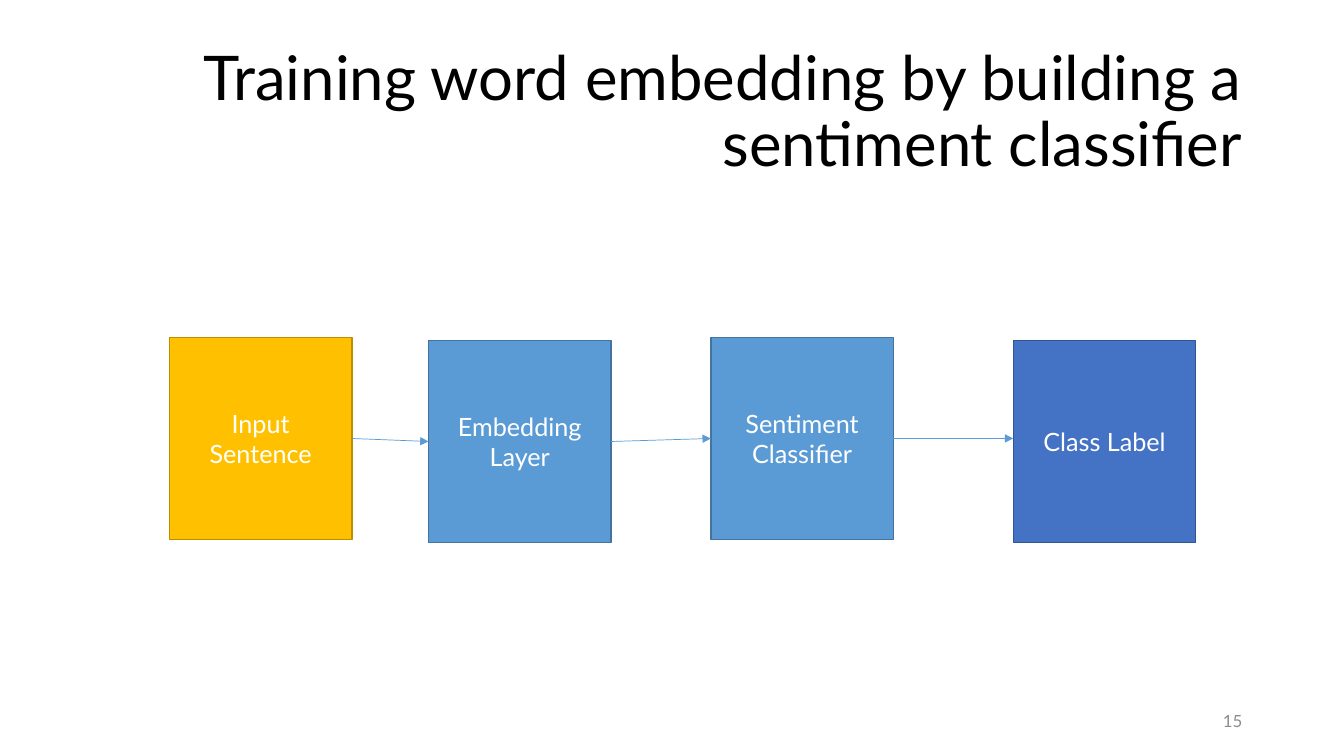
import pptx
import pptx.util
import pptx.dml.color
import pptx.enum.shapes
import pptx.enum.text
import pptx.oxml
import pptx.oxml.ns
from dataclasses import dataclass
from pptx.util import Inches


@dataclass(frozen=True)
class Theme:
    font: str = "Lato"
    title_size: int = 44
    label_size: int = 18
    number_size: int = 12
    text: str = "000000"
    muted: str = "8C8C8C"
    on_fill: str = "FFFFFF"
    amber: tuple = ("FFC000", "BD8E00")
    blue: tuple = ("5B9BD5", "43739E")
    indigo: tuple = ("4472C4", "325491")
    arrow: str = "5B9BD5"


THEME = Theme()
ALIGN = pptx.enum.text.PP_ALIGN
RIGHT_SITE, LEFT_SITE = 3, 1

# Stage label, colours, left and top offsets inside the flow
STAGES = [
    ("Input Sentence", THEME.amber, 0, 0),
    ("Embedding Layer", THEME.blue, 2.57, 0.03),
    ("Sentiment Classifier", THEME.blue, 5.37, 0),
    ("Class Label", THEME.indigo, 8.37, 0.03),
]
STAGE_WIDTH, STAGE_HEIGHT = 1.81, 2


def color(code):
    return pptx.dml.color.RGBColor.from_string(code)


def write(shape, text, size, code, align):
    frame = shape.text_frame
    frame.word_wrap = True
    frame.vertical_anchor = pptx.enum.text.MSO_ANCHOR.MIDDLE
    para = frame.paragraphs[0]
    para.text = text
    para.alignment = align
    para.font.name = THEME.font
    para.font.size = pptx.util.Pt(size)
    para.font.color.rgb = color(code)
    return para


def add_title(page, left, top, width, height):
    box = page.shapes.add_textbox(*map(Inches, (left, top, width, height)))
    para = write(box, "Training word embedding by building a\vsentiment classifier",
                 THEME.title_size, THEME.text, ALIGN.RIGHT)
    para.line_spacing = 0.9


def add_page_number(page, left, top, width, height):
    box = page.shapes.add_textbox(*map(Inches, (left, top, width, height)))
    write(box, "15", THEME.number_size, THEME.muted, ALIGN.RIGHT)


def add_stage(page, label, colors, left, top):
    stage = page.shapes.add_shape(
        pptx.enum.shapes.MSO_SHAPE.RECTANGLE,
        *map(Inches, (left, top, STAGE_WIDTH, STAGE_HEIGHT)))
    fill, outline = colors
    stage.shadow.inherit = False
    stage.fill.solid()
    stage.fill.fore_color.rgb = color(fill)
    stage.line.color.rgb = color(outline)
    stage.line.width = pptx.util.Pt(1)
    write(stage, label, THEME.label_size, THEME.on_fill, ALIGN.CENTER)
    return stage


def add_arrow(page, source, target, level=False):
    start_y = source.top + source.height // 2
    arrow = page.shapes.add_connector(
        pptx.enum.shapes.MSO_CONNECTOR.STRAIGHT,
        source.left + source.width, start_y, target.left, start_y)
    arrow.begin_connect(source, RIGHT_SITE)
    if not level:
        arrow.end_connect(target, LEFT_SITE)
    arrow.line.color.rgb = color(THEME.arrow)
    arrow.line.width = pptx.util.Pt(0.5)
    # Arrowhead, and an empty effect list against the shadow
    head = pptx.oxml.parse_xml(
        f'<a:tailEnd {pptx.oxml.ns.nsdecls("a")} type="triangle"/>')
    arrow.line._get_or_add_ln().append(head)
    arrow._element.spPr.append(pptx.oxml.parse_xml(
        f'<a:effectLst {pptx.oxml.ns.nsdecls("a")}/>'))


def add_flow(page, left, top):
    stages = [add_stage(page, label, colors, left + across, top + down)
              for label, colors, across, down in STAGES]
    for source, target in zip(stages, stages[1:]):
        # The last arrow runs level
        add_arrow(page, source, target, level=target is stages[-1])


deck = pptx.Presentation()
deck.slide_width, deck.slide_height = Inches(13.33), Inches(7.5)
page = deck.slides.add_slide(deck.slide_layouts[6])
add_title(page, 0.92, 0.4, 11.5, 1.45)
add_flow(page, 1.68, 3.35)
add_page_number(page, 9.42, 6.95, 3, 0.4)
deck.save("out.pptx")
